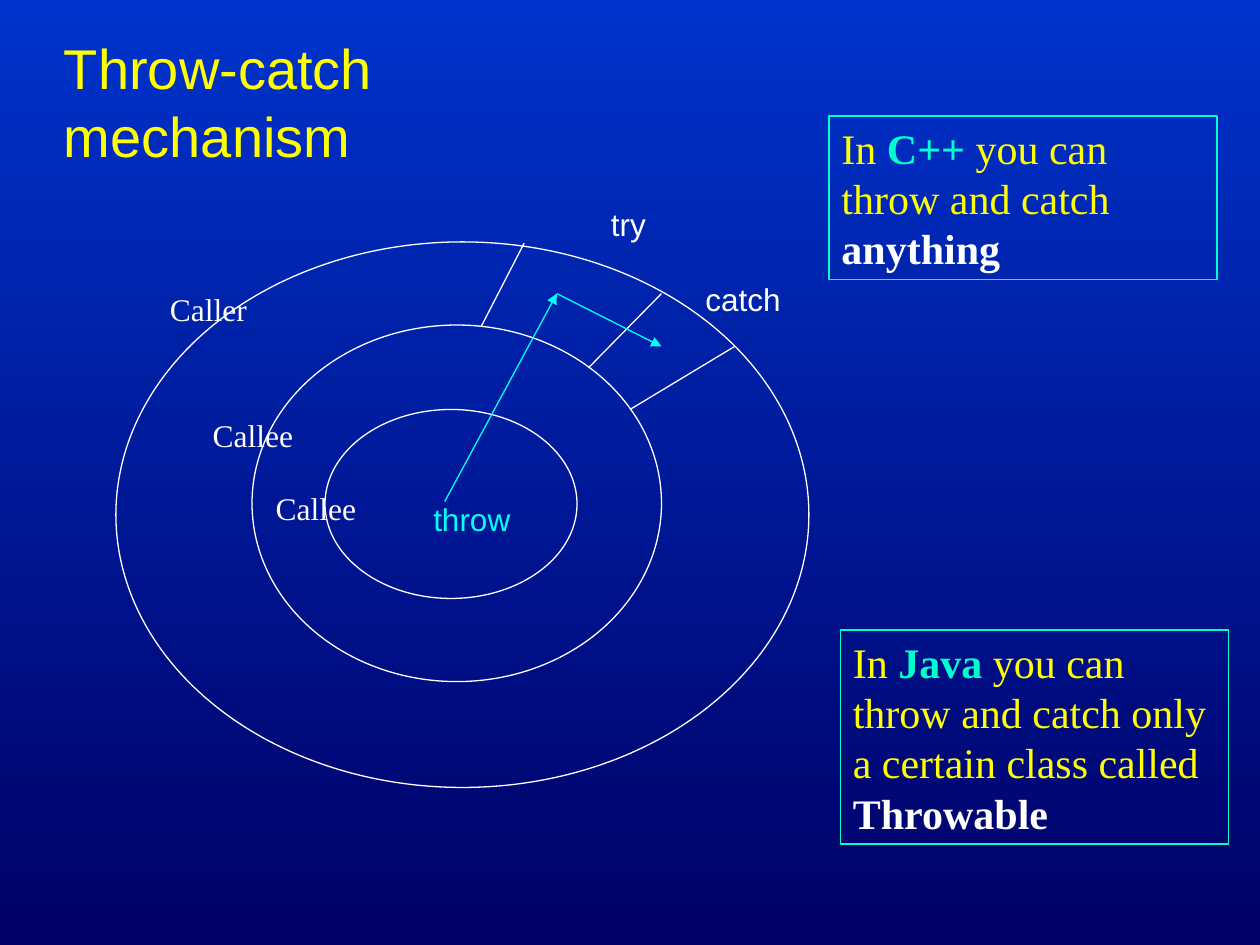
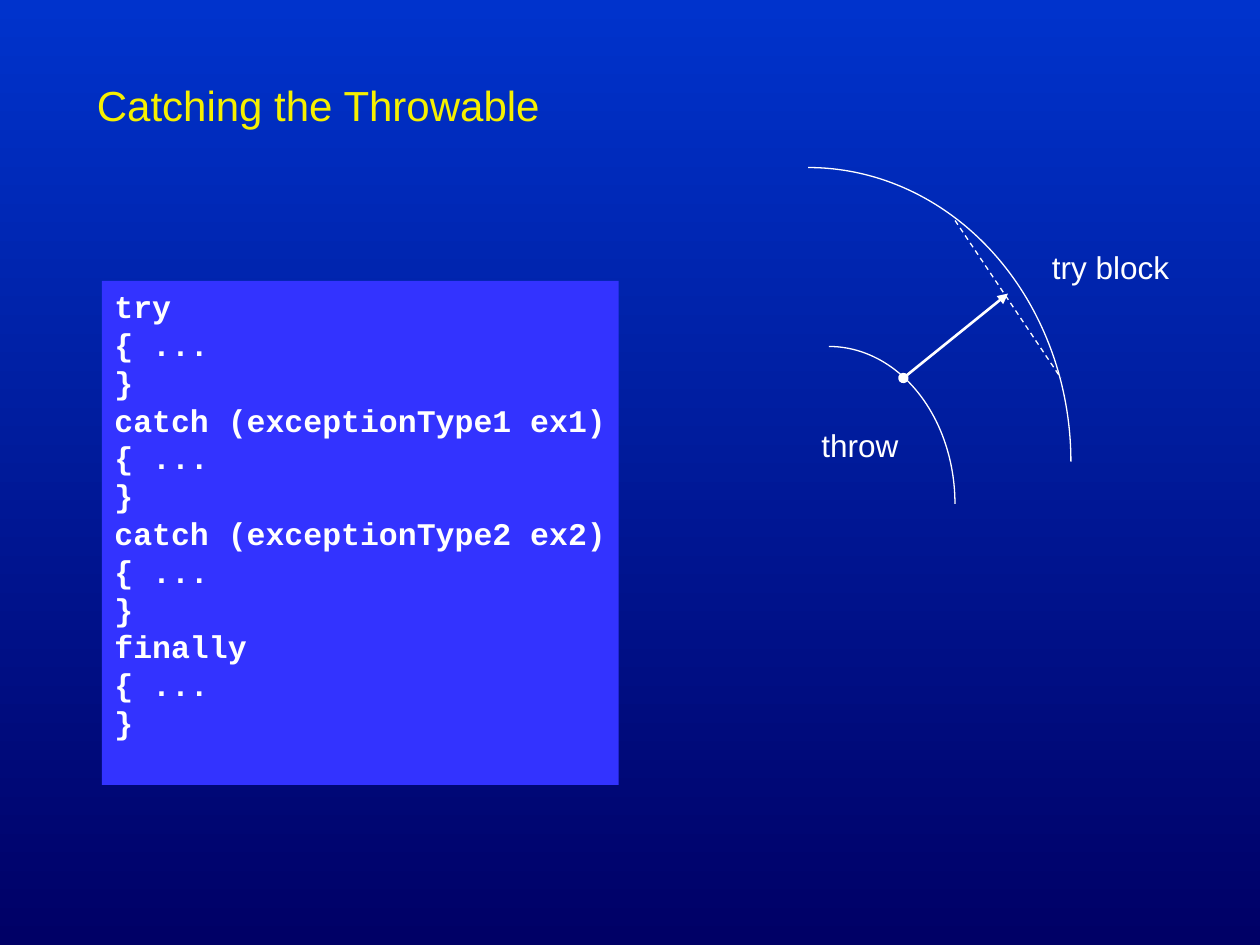
from lxml import etree
from pptx import Presentation
from pptx.dml.color import RGBColor
from pptx.enum.dml import MSO_LINE
from pptx.enum.shapes import MSO_CONNECTOR, MSO_SHAPE
from pptx.enum.text import MSO_ANCHOR, PP_ALIGN
from pptx.oxml.ns import qn
from pptx.util import Inches, Pt

OVAL, ARC, RECTANGLE = MSO_SHAPE.OVAL, MSO_SHAPE.ARC, MSO_SHAPE.RECTANGLE
STRAIGHT, DASH = MSO_CONNECTOR.STRAIGHT, MSO_LINE.DASH
TOP, LEFT = MSO_ANCHOR.TOP, PP_ALIGN.LEFT

WHITE, YELLOW, TITLE_YELLOW = "FFFFFF", "FFFF00", "F6F000"
CYAN, AQUA, CODE_BLUE = "00FFFF", "00FFCC", "3333FF"
BACKGROUND_STOPS = ["0033CC", "000066"]

ARIAL, TIMES = "Arial", "Times New Roman"
LABEL = {"name": ARIAL, "size": Pt(18), "color": WHITE}
RING_LABEL = {**LABEL, "name": TIMES}
THROW_LABEL = {**LABEL, "color": CYAN}
BIG_TITLE = {"name": ARIAL, "size": Pt(32), "color": YELLOW}
SMALL_TITLE = {"name": ARIAL, "size": Pt(24), "color": TITLE_YELLOW}
NOTE = {"name": TIMES, "size": Pt(24), "color": YELLOW}
NOTE_LANGUAGE = {**NOTE, "color": AQUA, "bold": True}
NOTE_KEYWORD = {**NOTE, "color": WHITE, "bold": True}
CODE = {"name": "Courier New", "size": Pt(18), "color": WHITE, "bold": True}


def add_box(slide, at, paragraphs=(), kind=None, line=None, fill=None, wrap=False):
    """Add a text box, or a preset shape if a kind is given; a paragraph is a list of runs."""
    lengths = [Inches(value) for value in at]
    if kind is None:
        shape = slide.shapes.add_textbox(*lengths)
    else:
        shape = slide.shapes.add_shape(kind, *lengths)
        shape.shadow.inherit = False
        if fill:
            shape.fill.solid()
            shape.fill.fore_color.rgb = RGBColor.from_string(fill)
        else:
            shape.fill.background()
        if line:
            shape.line.color.rgb = RGBColor.from_string(line)
            shape.line.width = Pt(0.75)
        else:
            shape.line.fill.background()
    frame = shape.text_frame
    frame.word_wrap = wrap
    frame.vertical_anchor = TOP
    for index, runs in enumerate(paragraphs):
        paragraph = frame.add_paragraph() if index else frame.paragraphs[0]
        paragraph.alignment = LEFT
        for text, style in runs:
            run = paragraph.add_run()
            run.text = text
            for name, value in style.items():
                if name == "color":
                    run.font.color.rgb = RGBColor.from_string(value)
                else:
                    setattr(run.font, name, value)


def add_line(slide, start, end, color=WHITE, width=0.75, dash=None, ends=None):
    """Add a straight line; ends maps headEnd and tailEnd to arrowhead types."""
    points = [Inches(value) for value in (*start, *end)]
    connector = slide.shapes.add_connector(STRAIGHT, *points)
    connector.line.color.rgb = RGBColor.from_string(color)
    connector.line.width = Pt(width)
    if dash:
        connector.line.dash_style = dash
    properties = connector.line._get_or_add_ln()
    for tag, arrowhead in (ends or {}).items():
        etree.SubElement(properties, qn(f"a:{tag}"), type=arrowhead)
    etree.SubElement(connector._element.spPr, qn("a:effectLst"))


presentation = Presentation()
presentation.slide_width = Inches(10)
presentation.slide_height = Inches(7.5)

# Shared background: blue gradient from top to bottom
background = presentation.slide_master.background.fill
background.gradient()
background.gradient_angle = 270
for stop, color in zip(background.gradient_stops, BACKGROUND_STOPS):
    stop.color.rgb = RGBColor.from_string(color)

blank_layout = presentation.slide_layouts[6]

# Slide 1: throw-catch mechanism
slide = presentation.slides.add_slide(blank_layout)
add_box(slide, (0.41, 0.22, 5.04, 0.64), [[("Throw-catch mechanism", BIG_TITLE)]])

# Nested call rings
for ring in [(0.92, 1.92, 5.5, 4.33), (2, 2.58, 3.25, 2.83), (2.58, 3.25, 2, 1.5)]:
    add_box(slide, ring, kind=OVAL, line=WHITE)

# Borders of the try and catch sectors
for start, end in [
    ((4.16, 1.93), (3.82, 2.59)),
    ((4.67, 2.92), (5.25, 2.33)),
    ((5, 3.25), (5.83, 2.75)),
]:
    add_line(slide, start, end)

# Way of the exception: throw, try, catch
route = [(3.53, 3.98), (4.42, 2.33), (5.25, 2.75)]
for start, end in zip(route, route[1:]):
    add_line(slide, start, end, CYAN, ends={"tailEnd": "triangle"})

for text, style, left, top, width in [
    ("Caller", RING_LABEL, 1.25, 2.25, 0.81),
    ("Callee", RING_LABEL, 1.59, 3.25, 0.84),
    ("Callee", RING_LABEL, 2.09, 3.83, 0.84),
    ("try", LABEL, 4.75, 1.58, 0.48),
    ("catch", LABEL, 5.5, 2.17, 0.8),
    ("throw", THROW_LABEL, 3.34, 3.92, 0.81),
]:
    add_box(slide, (left, top, width, 0.4), [[(text, style)]])

# Language notes
for at, language, rule, keyword in [
    ((6.58, 0.92, 3.08, 1.3), "C++", " you can throw and catch ", "anything"),
    ((6.67, 5, 3.08, 1.7), "Java",
     " you can throw and catch only a certain class called ", "Throwable"),
]:
    runs = [("In ", NOTE), (language, NOTE_LANGUAGE), (rule, NOTE), (keyword, NOTE_KEYWORD)]
    add_box(slide, at, [runs], RECTANGLE, line=AQUA, wrap=True)

# Slide 2: catching the Throwable
slide = presentation.slides.add_slide(blank_layout)
add_box(slide, (0.67, 0.58, 3.72, 0.5), [[("Catching the Throwable", SMALL_TITLE)]])

# Quarter rings, with the try block as a dashed chord
for arc in [(4.33, 1.33, 4.17, 4.67), (5.58, 2.75, 2, 2.5)]:
    add_box(slide, arc, kind=ARC, line=WHITE)
add_line(slide, (7.58, 1.75), (8.42, 3), dash=DASH)
add_line(slide, (7.17, 3), (8, 2.33), width=1.5,
         ends={"headEnd": "oval", "tailEnd": "triangle"})

for text, left, top, width in [("throw", 6.42, 3.33, 0.81), ("try block", 8.25, 1.92, 1.13)]:
    add_box(slide, (left, top, width, 0.4), [[(text, LABEL)]])

# Code panel: every clause is followed by the same block
clauses = ["try", "catch (exceptionType1 ex1)", "catch (exceptionType2 ex2)", "finally"]
code = [[(text, CODE)] for clause in clauses for text in (clause, "{ ...", "}")]
add_box(slide, (0.81, 2.23, 4.1, 4), code, RECTANGLE, fill=CODE_BLUE)

presentation.save("out.pptx")
